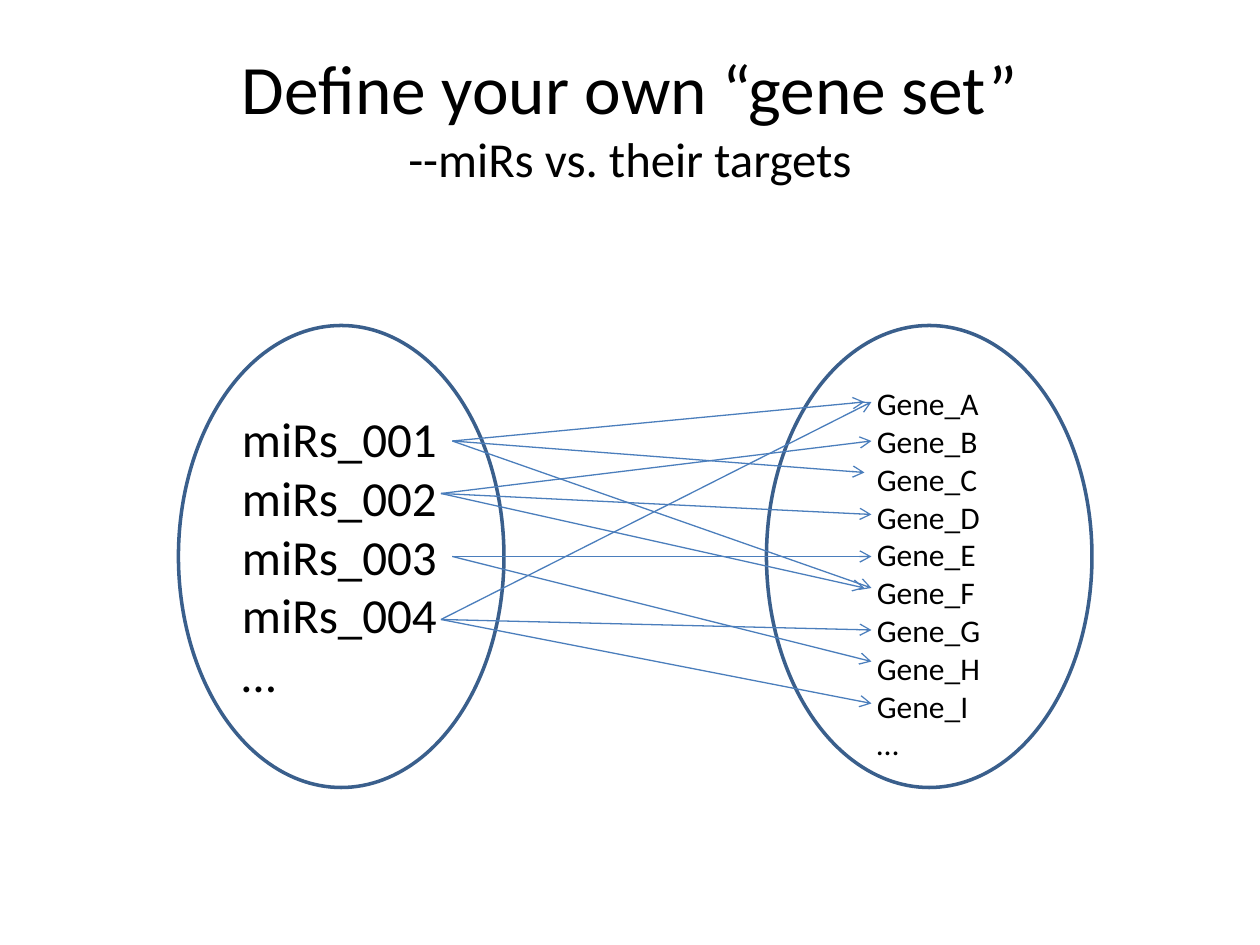
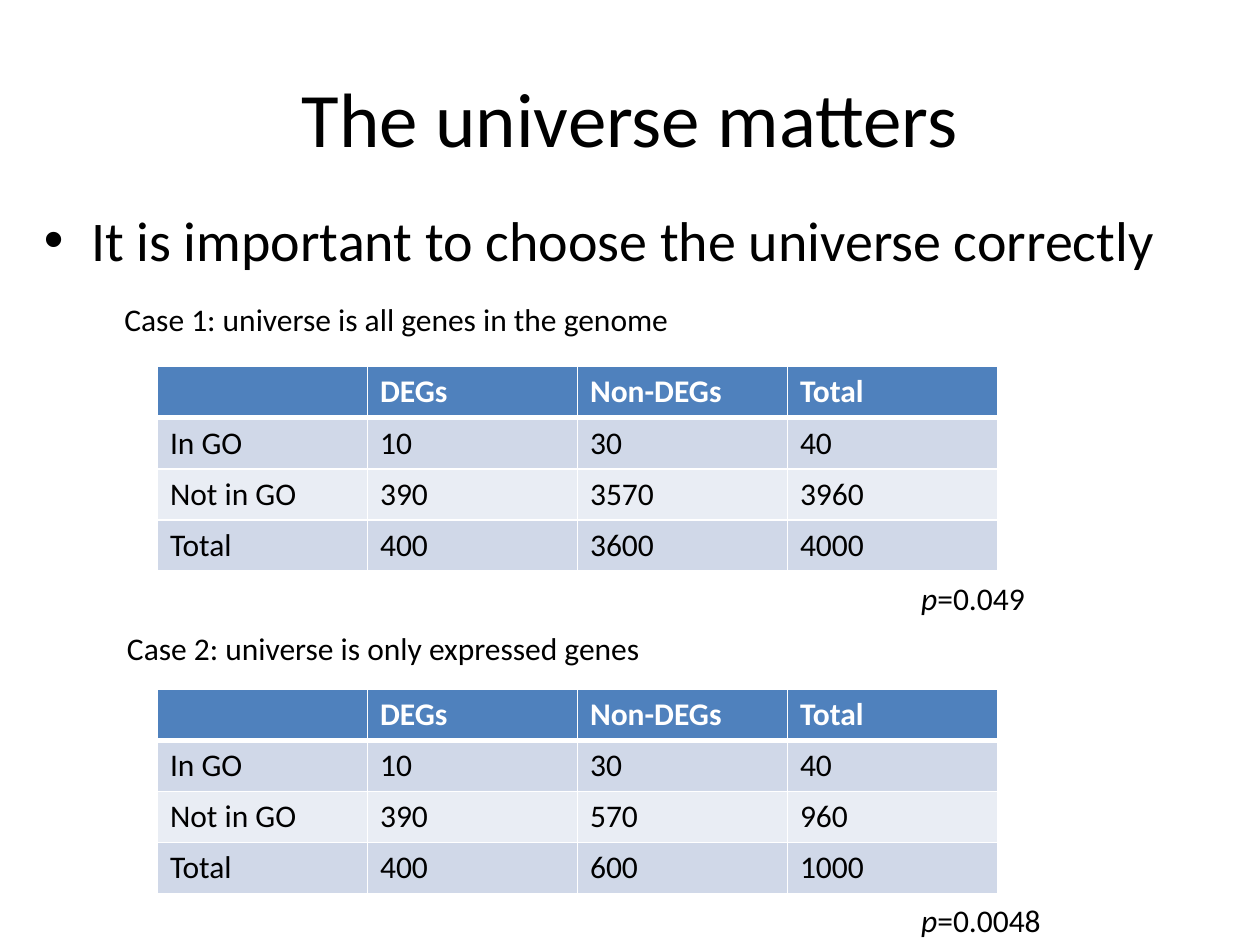
from collections import namedtuple
from dataclasses import dataclass

from lxml import etree
from pptx import Presentation
from pptx.dml.color import RGBColor
from pptx.enum.shapes import MSO_CONNECTOR, MSO_SHAPE
from pptx.enum.text import MSO_ANCHOR, PP_ALIGN
from pptx.oxml.ns import qn
from pptx.util import Pt

OVAL = MSO_SHAPE.OVAL
STRAIGHT = MSO_CONNECTOR.STRAIGHT
MIDDLE = MSO_ANCHOR.MIDDLE
CENTER, LEFT = PP_ALIGN.CENTER, PP_ALIGN.LEFT

Box = namedtuple("Box", "x y w h")


@dataclass(frozen=True)
class Theme:
    """Colours, font and type sizes shared by the slides."""
    font: str = "Calibri"
    ink: str = "000000"
    white: str = "FFFFFF"
    oval: str = "3A5F8C"
    arrow: str = "4B7EBC"
    header: str = "4F81BD"
    bands: tuple = ("D0D8E8", "E9EDF4")
    title: float = 44
    title_small: float = 39.6
    subtitle: float = 27.9
    bullet: float = 32
    mir: float = 28
    small: float = 18


THEME = Theme()
TITLE_BOX = Box(36, 21.6, 648, 90)

MIRS = ["miRs_001", "miRs_002", "miRs_003", "miRs_004", "…"]
GENES = [f"Gene_{letter}" for letter in "ABCDEFGHI"] + ["…"]
MIR_ENDS = [(6.5, 66), (0, 96), (6.5, 132), (0, 168)]
GENE_Y = dict(zip("ABCDEFGHI", (43.7, 66, 84, 108, 132, 150, 174, 192, 216)))
TARGETS = ["ACF", "BDF", "EH", "IGA"]
SHORT_LINKS = {(0, "A"), (0, "C"), (1, "F")}

HEADER = ["", "DEGs", "Non-DEGs", "Total"]
CASES = [
    (Box(90, 209.5, 480, 116.8), (-26, -41.7), "Case 1: universe is all genes in the genome", "0.049",
     [["In GO", 10, 30, 40], ["Not in GO", 390, 3570, 3960], ["Total", 400, 3600, 4000]]),
    (Box(90, 393.8, 480, 116.8), (-24.5, -38.1), "Case 2: universe is only expressed genes", "0.0048",
     [["In GO", 10, 30, 40], ["Not in GO", 390, 570, 960], ["Total", 400, 600, 1000]]),
]


def rgb(value):
    """Turn a hex string into a colour."""
    return RGBColor.from_string(value)


def add_run(p, text, size, color=THEME.ink, **formats):
    """Add a styled run to a paragraph."""
    r = p.add_run()
    r.text = text
    r.font.color.rgb = rgb(color)
    for name, value in {"name": THEME.font, "size": Pt(size), **formats}.items():
        setattr(r.font, name, value)


def add_text(shapes, box, lines, wrap=False, align=LEFT, **formats):
    """Add a text box whose lines are lists of (text, size, formats) runs."""
    tf = shapes.add_textbox(*map(Pt, box)).text_frame
    for name, value in {"word_wrap": wrap, **formats}.items():
        setattr(tf, name, value)
    for i, runs in enumerate(lines):
        p = tf.paragraphs[0] if i == 0 else tf.add_paragraph()
        p.alignment = align
        for text, size, style in runs:
            add_run(p, text, size, **style)
    return tf


def add_title(s, text, size, subtitle=None):
    """Add the centred title with an optional smaller second line."""
    tf = add_text(s.shapes, TITLE_BOX, [[(text, size, {})]], wrap=True,
                  align=CENTER, vertical_anchor=MIDDLE)
    if subtitle:
        p = tf.paragraphs[0]
        p.add_line_break()
        add_run(p, subtitle, THEME.subtitle)


def add_set(s, box, offset, names, size):
    """Group an outlined oval with the names listed inside it."""
    shapes = s.shapes.add_group_shape().shapes
    sp = shapes.add_shape(OVAL, *map(Pt, box))
    sp.shadow.inherit = False
    sp.fill.background()
    sp.line.color.rgb = rgb(THEME.oval)
    sp.line.width = Pt(2)
    dx, dy = offset
    text_box = Box(box.x + dx, box.y + dy, box.w - 2 * dx, box.h - 2 * dy)
    add_text(shapes, text_box, [[(name, size, {})] for name in names])


def add_arrow(s, start, end):
    """Draw a thin line with an open arrowhead."""
    line = s.shapes.add_connector(STRAIGHT, *map(Pt, (*start, *end)))
    line.line.color.rgb = rgb(THEME.arrow)
    line.line.width = Pt(0.75)
    etree.SubElement(line.line._get_or_add_ln(), qn("a:tailEnd"), type="arrow")
    etree.SubElement(line._element.spPr, qn("a:effectLst"))


def add_links(s, box):
    """Connect each miR to its target genes across the box."""
    for i, ((dx, dy), letters) in enumerate(zip(MIR_ENDS, TARGETS)):
        for letter in letters:
            inset = 4 if (i, letter) in SHORT_LINKS else 0
            add_arrow(s, (box.x + dx, box.y + dy),
                      (box.x + box.w - inset, box.y + GENE_Y[letter]))


def set_borders(cell, top, bottom):
    """Give a cell white borders of the given top and bottom widths."""
    tc_pr = cell._tc.get_or_add_tcPr()
    for side, width in {"L": 1, "R": 1, "T": top, "B": bottom}.items():
        ln = etree.SubElement(tc_pr, qn(f"a:ln{side}"), w=str(Pt(width)))
        fill = etree.SubElement(ln, qn("a:solidFill"))
        etree.SubElement(fill, qn("a:srgbClr"), val=THEME.white)


def add_counts(s, box, rows):
    """Add the banded table of counts."""
    table = s.shapes.add_table(len(rows), len(rows[0]), *map(Pt, box)).table
    table.first_row = table.horz_banding = False
    for i, row in enumerate(rows):
        head = i == 0
        fill = THEME.header if head else THEME.bands[(i - 1) % 2]
        for j, value in enumerate(row):
            cell = table.cell(i, j)
            set_borders(cell, 3 if i == 1 else 1, 3 if head else 1)
            cell.fill.solid()
            cell.fill.fore_color.rgb = rgb(fill)
            p = cell.text_frame.paragraphs[0]
            p.font.size = Pt(THEME.small)
            if value != "":
                add_run(p, str(value), THEME.small,
                        THEME.white if head else THEME.ink, bold=head)


def add_case(s, box, offset, label, p_value, rows):
    """Place a case label, its table and its p-value around the table box."""
    dx, dy = offset
    size = THEME.small
    add_text(s.shapes, Box(box.x + dx, box.y + dy, 330, 29), [[(label, size, {})]])
    add_counts(s, box, [HEADER] + rows)
    add_text(s.shapes, Box(box.x + 429.3, box.y + box.h + 1, 84, 29),
             [[("p", size, {"italic": True}), (f"={p_value}", size, {})]])


def add_bullet(s, box, text):
    """Add a bulleted statement with a hanging indent."""
    tf = add_text(s.shapes, box, [[(text, THEME.bullet, {})]], wrap=True)
    p_pr = tf.paragraphs[0]._p.get_or_add_pPr()
    p_pr.set("marL", str(Pt(27)))
    p_pr.set("indent", str(-Pt(27)))
    etree.SubElement(p_pr, qn("a:buFont"), typeface="Arial")
    etree.SubElement(p_pr, qn("a:buChar"), char="•")


def build_gene_sets(s):
    """Build the slide that maps miRs to their targets."""
    add_title(s, "Define your own “gene set”", THEME.title_small, "--miRs vs. their targets")
    add_set(s, Box(102, 186, 186, 264), (29.2, 43.8), MIRS, THEME.mir)
    add_set(s, Box(438, 186, 186, 264), (56, 30), GENES, THEME.small)
    add_links(s, Box(252, 186, 246, 264))


def build_universe(s):
    """Build the slide that compares two universes."""
    add_title(s, "The universe matters", THEME.title)
    add_bullet(s, Box(18, 114, 678, 54), "It is important to choose the universe correctly")
    for case in CASES:
        add_case(s, *case)


def main():
    """Build and save the presentation."""
    prs = Presentation()
    prs.slide_width, prs.slide_height = Pt(720), Pt(540)
    for build in (build_gene_sets, build_universe):
        build(prs.slides.add_slide(prs.slide_layouts[6]))
    prs.save("out.pptx")


if __name__ == "__main__":
    main()
